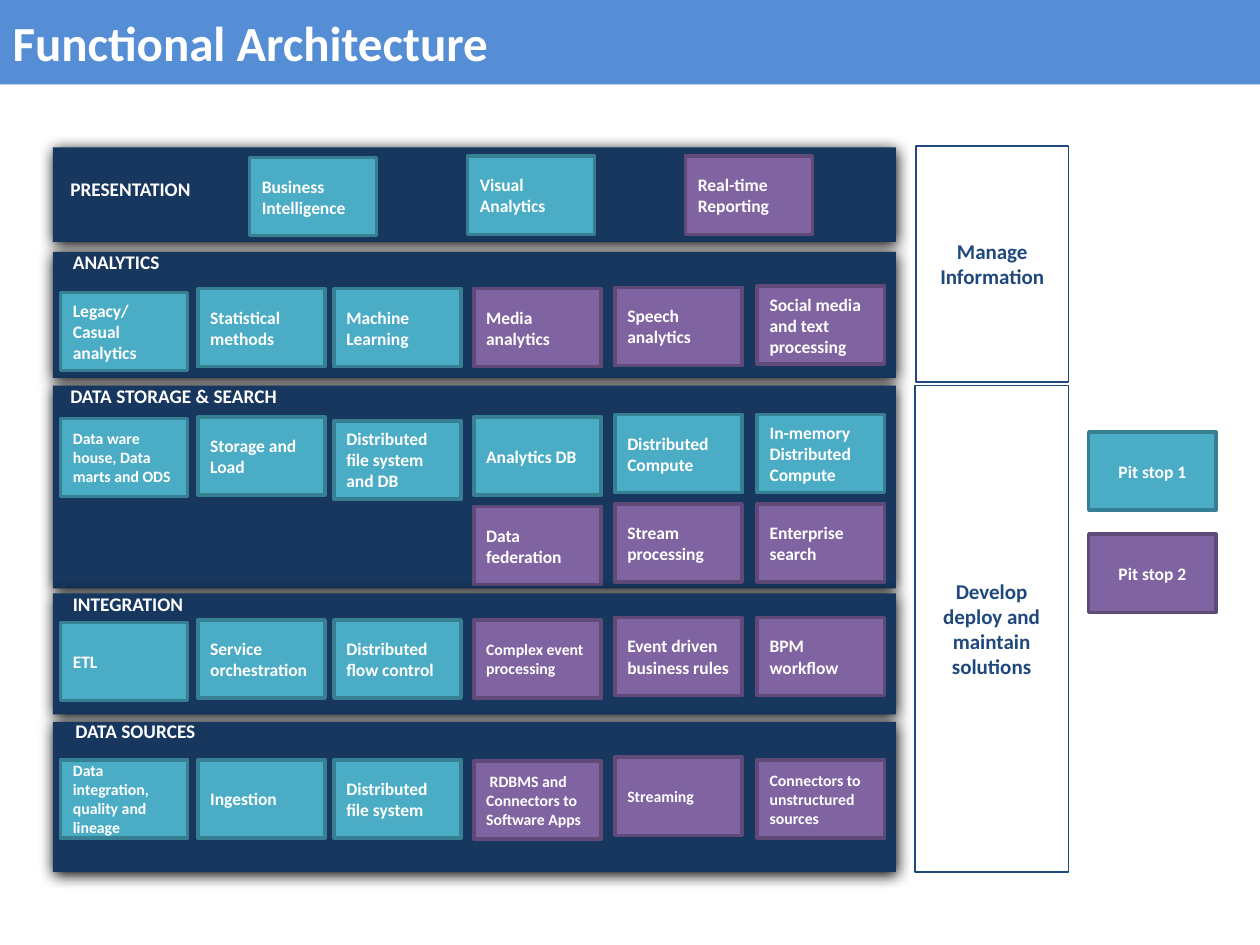
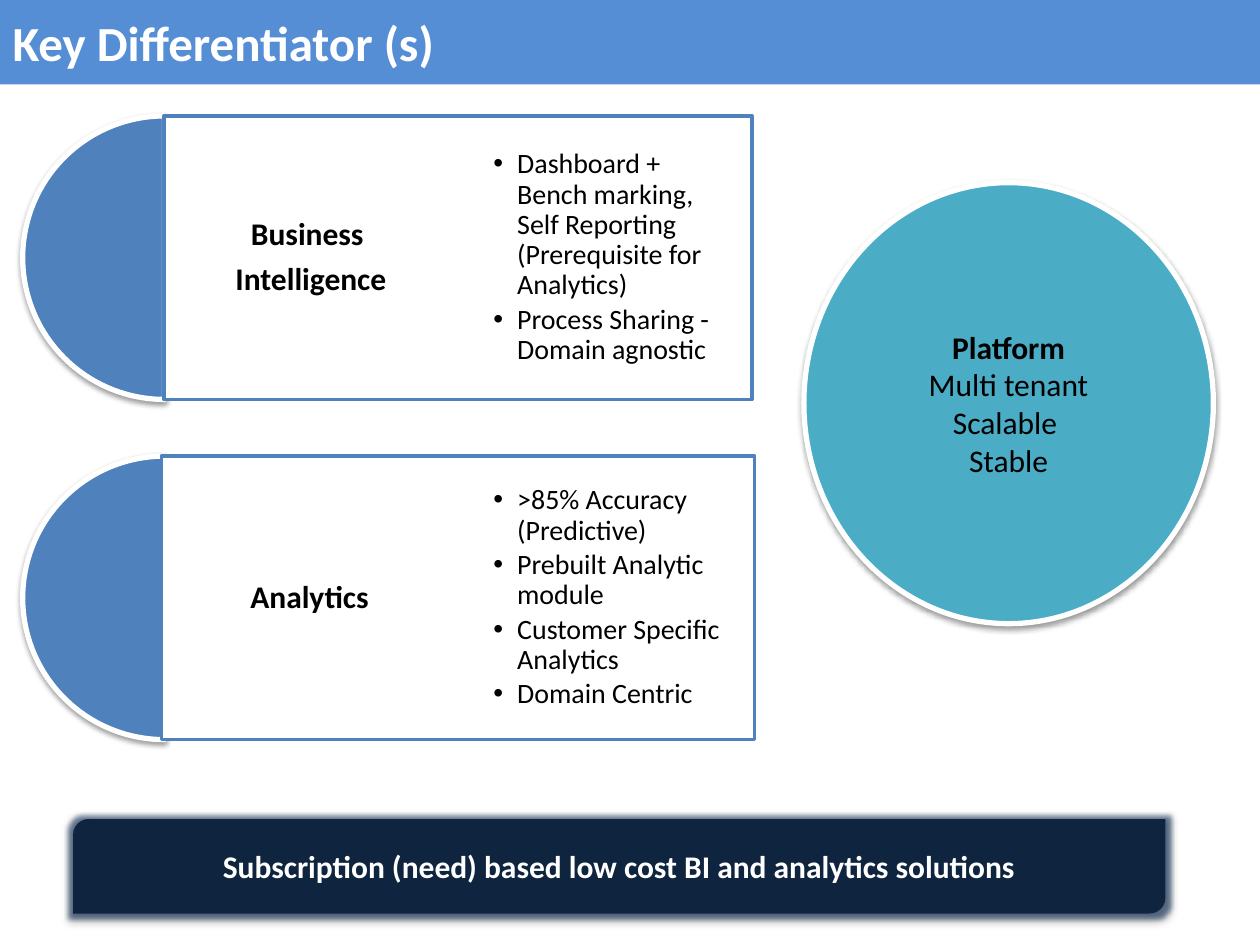
from dataclasses import dataclass

from lxml import etree
from pptx import Presentation
from pptx import util as u
from pptx.dml.color import RGBColor
from pptx.enum import shapes, text
from pptx.oxml.ns import qn

FONT = "Calibri"
WHITE, BLACK = "FFFFFF", "000000"
BAND_BLUE, LAYER_NAVY, INK_BLUE = "558ED5", "17375E", "1F497D"
ACCENT_BLUE, TEAL, BANNER_NAVY = "4F81BD", "4BACC6", "0F243E"
PIT_STOPS = {1: (TEAL, "377F92"), 2: ("8064A2", "5F4A78")}
LAYER_SHADOW = (100, 8.5, 1)
SOFT_SHADOW = (38, 3.1, 1.6)
LAYER_LEFT, LAYER_WIDTH = 0.42, 6.69
TILE_WIDTH, TILE_HEIGHT = 1.01, 0.62
COLUMNS = [0.06, 1.15, 2.23, 3.34, 4.46, 5.59]
WIDE_COLUMNS = [1.56 + 1.73 * index for index in range(3)]
LEFT, CENTER = text.PP_ALIGN.LEFT, text.PP_ALIGN.CENTER
TOP, MIDDLE = text.MSO_ANCHOR.TOP, text.MSO_ANCHOR.MIDDLE
SHAPE = shapes.MSO_SHAPE


@dataclass
class Tile:
    """A capability in a layer, with its top relative to the layer."""
    label: str
    pit_stop: int
    column: int
    top: float
    size: int = 10


@dataclass
class Layer:
    """A horizontal layer of the architecture."""
    name: str
    top: float
    height: float
    name_left: float
    name_top: float
    tiles: list
    columns: list


LAYERS = [
    Layer("PRESENTATION", 1.17, 0.75, 0.04, 0.19, [
        Tile("Business Intelligence", 1, 0, 0.08),
        Tile("Visual Analytics", 1, 1, 0.07),
        Tile("Real-time Reporting", 2, 2, 0.07),
    ], WIDE_COLUMNS),
    Layer("ANALYTICS", 2, 1, 0.06, -0.06, [
        Tile("Legacy/\nCasual analytics", 1, 0, 0.32),
        Tile("Statistical methods", 1, 1, 0.29),
        Tile("Machine Learning", 1, 2, 0.29),
        Tile("Media analytics", 2, 3, 0.29),
        Tile("Speech analytics", 2, 4, 0.28),
        Tile("Social media and text processing", 2, 5, 0.27),
    ], COLUMNS),
    Layer("DATA STORAGE & SEARCH", 3.06, 1.61, 0.04, -0.06, [
        Tile("Data ware house, Data marts and ODS", 1, 0, 0.26, 9),
        Tile("Storage and Load", 1, 1, 0.25),
        Tile("Distributed file system and DB", 1, 2, 0.28),
        Tile("Analytics DB", 1, 3, 0.25),
        Tile("Distributed Compute", 1, 4, 0.23),
        Tile("In-memory Distributed Compute", 1, 5, 0.23),
        Tile("Data federation", 2, 3, 0.96),
        Tile("Stream processing", 2, 4, 0.94),
        Tile("Enterprise search", 2, 5, 0.94),
    ], COLUMNS),
    Layer("INTEGRATION", 4.71, 0.96, 0.06, -0.06, [
        Tile("ETL", 1, 0, 0.23),
        Tile("Service orchestration", 1, 1, 0.21),
        Tile("Distributed flow control", 1, 2, 0.21),
        Tile("Complex event processing", 2, 3, 0.21, 9),
        Tile("Event driven business rules", 2, 4, 0.19),
        Tile("BPM workflow", 2, 5, 0.19),
    ], COLUMNS),
    Layer("DATA SOURCES", 5.73, 1.19, 0.08, -0.07, [
        Tile("Data integration, quality and lineage", 1, 0, 0.3, 9),
        Tile("Ingestion", 1, 1, 0.3),
        Tile("Distributed file system", 1, 2, 0.3),
        Tile(" RDBMS and Connectors to Software Apps", 2, 3, 0.31, 9),
        Tile("Streaming", 2, 4, 0.28, 9),
        Tile("Connectors to unstructured sources", 2, 5, 0.3, 9),
    ], COLUMNS),
]


def rgb(value):
    """Turn a hex string into a colour."""
    return RGBColor.from_string(value)


def box_of(left, top, width, height):
    """Convert a box in inches to lengths."""
    return [u.Inches(value) for value in (left, top, width, height)]


def write(shape, label, size, color=WHITE, bold=True, align=LEFT, anchor=MIDDLE,
          inset=None, wrap=True, spacing=None, after=0):
    """Write one paragraph for each line of the label."""
    frame = shape.text_frame
    frame.auto_size = text.MSO_AUTO_SIZE.NONE
    frame.word_wrap = wrap
    frame.vertical_anchor = anchor
    if inset is not None:
        frame.margin_left = frame.margin_right = u.Inches(inset)
        frame.margin_top = frame.margin_bottom = u.Inches(inset)
    for index, line in enumerate(label.split("\n")):
        paragraph = frame.add_paragraph() if index else frame.paragraphs[0]
        paragraph.alignment = align
        paragraph.space_before, paragraph.space_after = u.Pt(0), u.Pt(after)
        paragraph.line_spacing = spacing
        run = paragraph.add_run()
        run.text = line
        run.font.name, run.font.size, run.font.bold = FONT, u.Pt(size), bold
        run.font.color.rgb = rgb(color)


def add_effect(effects, tag, color, opacity, **attributes):
    """Add a glow or a shadow to an effect list."""
    effect = etree.SubElement(effects, qn(tag))
    for name, value in attributes.items():
        effect.set(name, str(value))
    tint = etree.SubElement(effect, qn("a:srgbClr"), val=color)
    etree.SubElement(tint, qn("a:alpha"), val=str(opacity * 1000))


def add_block(slide, kind, box, fill, line=None, line_width=1, shadow=None, glow=None):
    """Add a filled preset shape with an optional outline, shadow and glow."""
    shape = slide.shapes.add_shape(kind, *box_of(*box))
    shape.shadow.inherit = False
    shape.fill.solid()
    shape.fill.fore_color.rgb = rgb(fill)
    if line:
        shape.line.color.rgb = rgb(line)
        shape.line.width = u.Pt(line_width)
    else:
        shape.line.fill.background()
    effects = shape.element.spPr.find(qn("a:effectLst"))
    if glow:
        add_effect(effects, "a:glow", glow, 60, rad=u.Pt(5))
    if shadow:
        opacity, blur, distance = shadow
        add_effect(effects, "a:outerShdw", BLACK, opacity, blurRad=u.Pt(blur),
                   dist=u.Pt(distance), dir=5400000, rotWithShape=0)
    return shape


def place(shape, box):
    """Move and size a placeholder."""
    shape.left, shape.top, shape.width, shape.height = box_of(*box)


def add_titled_slide(presentation, layout, title):
    """Add a slide with the blue title band."""
    slide = presentation.slides.add_slide(presentation.slide_layouts[layout])
    band = slide.shapes.title
    place(band, (0, 0, 10, 0.67))
    band.fill.solid()
    band.fill.fore_color.rgb = rgb(BAND_BLUE)
    write(band, title, 28)
    return slide


def add_tile(slide, left, top, label, pit_stop, size=10, align=LEFT):
    """Add a tile in the colours of its pit stop."""
    fill, line = PIT_STOPS[pit_stop]
    box = (left, top, TILE_WIDTH, TILE_HEIGHT)
    write(add_block(slide, SHAPE.RECTANGLE, box, fill, line, 2), label, size, align=align)


def add_layer(slide, layer):
    """Add a layer with its name and tiles."""
    add_block(slide, SHAPE.RECTANGLE, (LAYER_LEFT, layer.top, LAYER_WIDTH, layer.height),
              LAYER_NAVY, shadow=LAYER_SHADOW)
    name = slide.shapes.add_textbox(
        *box_of(LAYER_LEFT + layer.name_left, layer.top + layer.name_top, 1.9, 0.29))
    write(name, layer.name, 11, anchor=TOP, wrap=False)
    for tile in layer.tiles:
        add_tile(slide, LAYER_LEFT + layer.columns[tile.column], layer.top + tile.top,
                 tile.label, tile.pit_stop, tile.size)


def add_side_panel(slide, box, label):
    """Add an outlined panel that spans several layers."""
    panel = add_block(slide, SHAPE.RECTANGLE, box, WHITE, INK_BLUE)
    write(panel, label, 12, INK_BLUE, align=CENTER)


def add_legend(slide, left, top):
    """Add the key to the pit stops."""
    for index, pit_stop in enumerate(PIT_STOPS):
        add_tile(slide, left, top + 0.81 * index, f"Pit stop {pit_stop}", pit_stop,
                 align=CENTER)


def add_differentiator(slide, box, heading, bullets, body):
    """Add a half disc and a card with a heading and a bullet list."""
    left, top, width, height = box
    disc = add_block(slide, SHAPE.PIE, (0.18, top, height, height), ACCENT_BLUE,
                     WHITE, 3, SOFT_SHADOW)
    disc.adjustments[0], disc.adjustments[1] = 54, 162
    add_block(slide, SHAPE.RECTANGLE, box, WHITE, ACCENT_BLUE, 2)
    half = width / 2
    title = slide.shapes.add_textbox(*box_of(left, top, half, height))
    write(title, heading, 18, BLACK, align=CENTER, inset=0.07, spacing=0.9, after=6.3)
    place(body, (left + half + 0.01, top, half, height))
    write(body, bullets, 16, BLACK, bold=False, inset=0.27, spacing=0.9, after=2.4)
    for paragraph in body.text_frame.paragraphs:
        properties = paragraph.font._element.getparent()
        properties.set("marL", str(u.Inches(0.19)))
        properties.set("indent", str(-u.Inches(0.19)))
    body.element.getparent().append(body.element)


def add_platform(slide, box):
    """Add the platform disc with its qualities."""
    disc = add_block(slide, SHAPE.OVAL, box, TEAL, WHITE, 3, SOFT_SHADOW)
    write(disc, "Platform\nMulti tenant\nScalable \nStable", 18, BLACK, False, CENTER)
    disc.text_frame.paragraphs[0].runs[0].font.bold = True


def add_banner(slide, box):
    """Add the closing statement."""
    banner = add_block(slide, SHAPE.ROUND_2_DIAG_RECTANGLE, box, BANNER_NAVY,
                       shadow=(35, 3.1, 1.8), glow=LAYER_NAVY)
    write(banner, "Subscription (need) based low cost BI and analytics solutions", 18,
          align=CENTER)


def build_architecture(presentation):
    """Build the slide of architecture layers."""
    slide = add_titled_slide(presentation, 5, "Functional Architecture")
    for layer in LAYERS:
        add_layer(slide, layer)
    add_side_panel(slide, (7.27, 1.16, 1.21, 1.87), "Manage Information")
    add_side_panel(slide, (7.26, 3.06, 1.22, 3.86),
                   "Develop\ndeploy and maintain solutions")
    add_legend(slide, 8.64, 3.43)


def build_differentiators(presentation):
    """Build the slide of differentiators."""
    slide = add_titled_slide(presentation, 3, "Key Differentiator (s)")
    for placeholder in list(slide.placeholders):
        if placeholder.placeholder_format.idx not in (0, 1, 2):
            placeholder.element.getparent().remove(placeholder.element)
    first, second = slide.placeholders[1], slide.placeholders[2]
    add_differentiator(
        slide, (1.3, 0.92, 4.67, 2.25), "Business \nIntelligence",
        "Dashboard + Bench marking, Self Reporting (Prerequisite for Analytics)\n"
        "Process Sharing - Domain agnostic", first)
    add_differentiator(
        slide, (1.28, 3.62, 4.71, 2.25), "Analytics",
        ">85% Accuracy (Predictive)\nPrebuilt Analytic module\n"
        "Customer Specific Analytics\nDomain Centric", second)
    add_platform(slide, (6.38, 1.45, 3.25, 3.5))
    add_banner(slide, (0.58, 6.5, 8.67, 0.75))


def main():
    """Build and save the presentation."""
    presentation = Presentation()
    presentation.slide_width, presentation.slide_height = u.Inches(10), u.Inches(7.5)
    build_architecture(presentation)
    build_differentiators(presentation)
    presentation.save("out.pptx")


if __name__ == "__main__":
    main()
